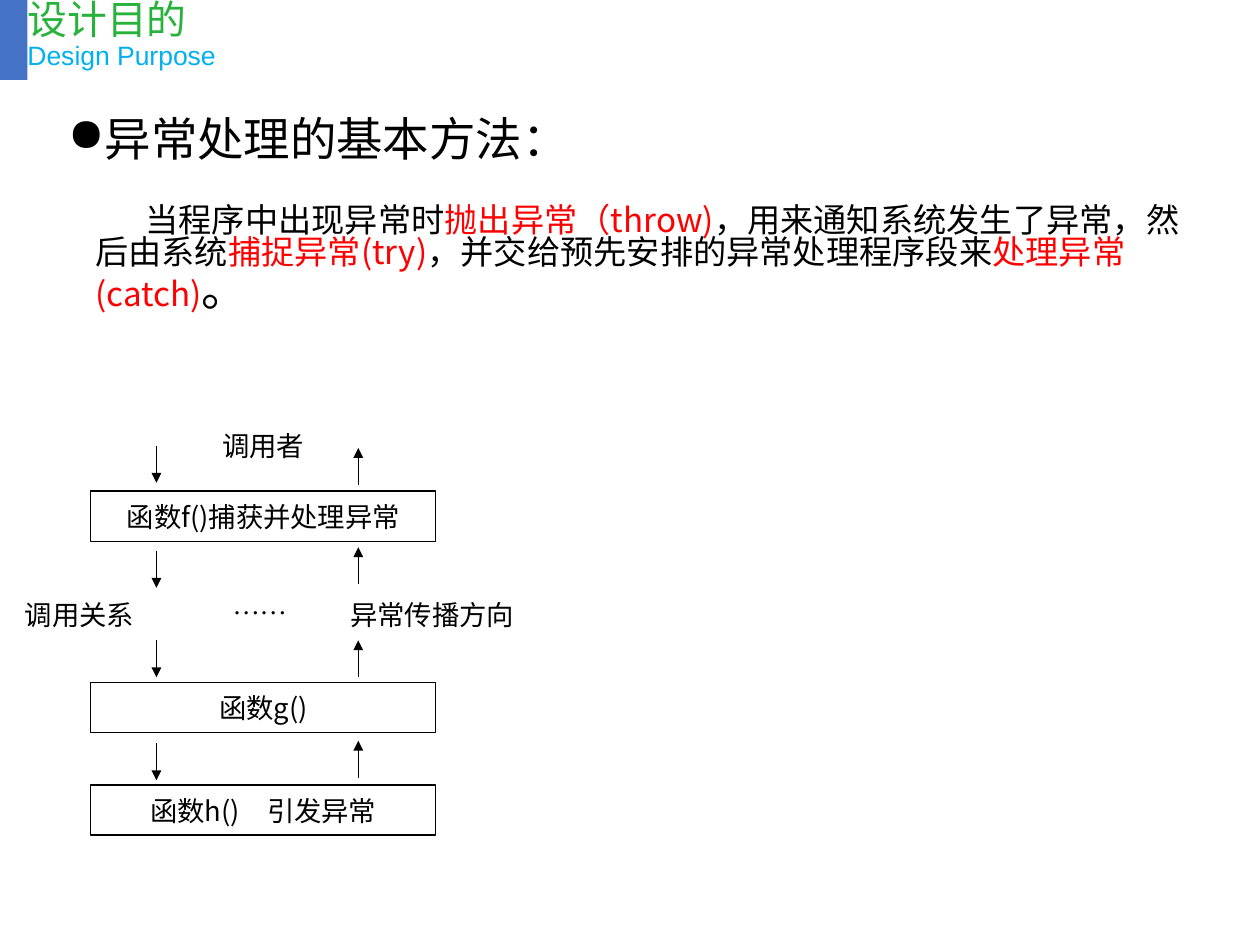
from dataclasses import dataclass

from lxml import etree
from pptx import Presentation
from pptx import util as u
from pptx.dml.color import RGBColor
from pptx.enum import shapes, text
from pptx.oxml import ns


@dataclass(frozen=True)
class Theme:
    """Colours, fonts and type sizes of the slide."""
    ink: str = "000000"
    alert: str = "FF0000"
    bar: str = "4472C4"
    title: str = "27B23C"
    subtitle: str = "00B0F0"
    cjk: str = "Noto Sans CJK SC"
    latin: str = "Arial"
    serif: str = "Times New Roman"
    heading_size: float = 28
    title_size: float = 24
    body_size: float = 20
    subtitle_size: float = 16
    diagram_size: float = 16.5
    line_width: float = 0.75


T = Theme()


def rgb(value):
    return RGBColor.from_string(value)


def format_run(r, size, color=T.ink, font=T.cjk):
    r.font.size = u.Pt(size)
    r.font.color.rgb = rgb(color)
    r.font.name = font
    etree.SubElement(r.font._element, ns.qn("a:ea")).set("typeface", font)


def set_indent(p, left, first):
    pPr = p._p.get_or_add_pPr()
    pPr.set("marL", str(u.Inches(left)))
    pPr.set("indent", str(u.Inches(first)))
    return pPr


def set_frame(tf, insets=(0, 0, 0, 0), anchor=text.MSO_ANCHOR.TOP, wrap=True):
    tf.margin_left, tf.margin_top, tf.margin_right, tf.margin_bottom = map(u.Inches, insets)
    tf.vertical_anchor = anchor
    tf.word_wrap = wrap


def add_textbox(parent, box):
    return parent.add_textbox(*map(u.Inches, box)).text_frame


def add_rect(parent, box):
    sp = parent.add_shape(shapes.MSO_SHAPE.RECTANGLE, *map(u.Inches, box))
    sp.shadow.inherit = False
    return sp


def set_label(tf, label, inset=0, font=T.cjk):
    set_frame(tf, (inset, 0, inset, 0), text.MSO_ANCHOR.MIDDLE)
    p = tf.paragraphs[0]
    p.text = label
    p.alignment = text.PP_ALIGN.CENTER
    format_run(p.runs[0], T.diagram_size, font=font)


def add_function_box(parent, top, label):
    sp = add_rect(parent, (0.76, top, 2.89, 0.42))
    sp.fill.background()
    sp.line.color.rgb = rgb(T.ink)
    sp.line.width = u.Pt(T.line_width)
    set_label(sp.text_frame, label, inset=0.1)


def add_arrow(parent, x, top, end):
    cx = parent.add_connector(shapes.MSO_CONNECTOR.STRAIGHT, u.Inches(x), u.Inches(top),
                              u.Inches(x), u.Inches(top + 0.31))
    cx.line.color.rgb = rgb(T.ink)
    cx.line.width = u.Pt(T.line_width)
    etree.SubElement(cx.line._get_or_add_ln(), ns.qn(f"a:{end}")).set("type", "triangle")
    etree.SubElement(cx._element.spPr, ns.qn("a:effectLst"))


def add_header(s):
    group = s.shapes.add_group_shape().shapes
    bar = add_rect(group, (0, 0, 0.23, 0.67))
    bar.fill.solid()
    bar.fill.fore_color.rgb = rgb(T.bar)
    bar.line.fill.background()
    tf = add_textbox(group, (0.23, 0, 1.59, 0.67))
    set_frame(tf, wrap=False)
    tf.auto_size = text.MSO_AUTO_SIZE.SHAPE_TO_FIT_TEXT
    tf.text = "设计目的\nDesign Purpose"
    styles = ((T.title_size, T.title, T.cjk), (T.subtitle_size, T.subtitle, T.latin))
    for p, style in zip(tf.paragraphs, styles):
        p.line_spacing = 0.9
        format_run(p.runs[0], *style)


def add_body(s):
    tf = add_textbox(s.shapes, (0.47, 0.92, 9.53, 2.05))
    set_frame(tf, (0.1, 0.09, 0.1, 0.05))
    tf.auto_size = text.MSO_AUTO_SIZE.SHAPE_TO_FIT_TEXT
    p = tf.paragraphs[0]
    p.text = "异常处理的基本方法："
    p.line_spacing = 0.8
    format_run(p.runs[0], T.heading_size)
    bullet = etree.SubElement(set_indent(p, 0.23, -0.23), ns.qn("a:buChar"))
    bullet.set("char", "●")

    p = tf.add_paragraph()
    p.line_spacing = 0.8
    p.space_before = u.Pt(25)
    set_indent(p, 0.23, 0.42)
    for words, size, color in (
        ("当程序中出现异常时", T.body_size, T.ink),
        ("抛出异常（throw)", T.body_size, T.alert),
        ("，用来通知系统发生了异常，然后由系统", T.body_size, T.ink),
        ("捕捉异常(try)", T.body_size, T.alert),
        ("，并交给预先安排的异常处理程序段来", T.body_size, T.ink),
        ("处理异常(catch)", T.body_size, T.alert),
        ("。", T.heading_size, T.ink),
    ):
        r = p.add_run()
        r.text = words
        format_run(r, size, color)


def add_call_diagram(s):
    group = s.shapes.add_group_shape().shapes
    for top, label in ((4.11, "函数f()捕获并处理异常"), (5.71, "函数g()"),
                       (6.57, "函数h()　引发异常")):
        add_function_box(group, top, label)
    for call_top, throw_top in ((3.73, 3.75), (4.61, 4.58), (5.36, 5.36), (6.22, 6.2)):
        add_arrow(group, 1.31, call_top, "tailEnd")
        add_arrow(group, 3, throw_top, "headEnd")
    for box, label, font in (
        ((0.92, 4.89, 2.51, 0.32), "……", T.serif),
        ((1.54, 3.59, 1.33, 0.28), "调用者", T.cjk),
        ((2.9, 5, 1.44, 0.28), "异常传播方向", T.cjk),
        ((0, 5, 1.33, 0.28), "调用关系", T.cjk),
    ):
        set_label(add_textbox(group, box), label, font=font)


def main():
    """Build the slide on the basic method of exception handling."""
    prs = Presentation()
    prs.slide_width, prs.slide_height = u.Inches(10.55), u.Inches(7.91)
    s = prs.slides.add_slide(prs.slide_layouts[6])
    add_body(s)
    add_call_diagram(s)
    add_header(s)
    prs.save("out.pptx")


if __name__ == "__main__":
    main()
